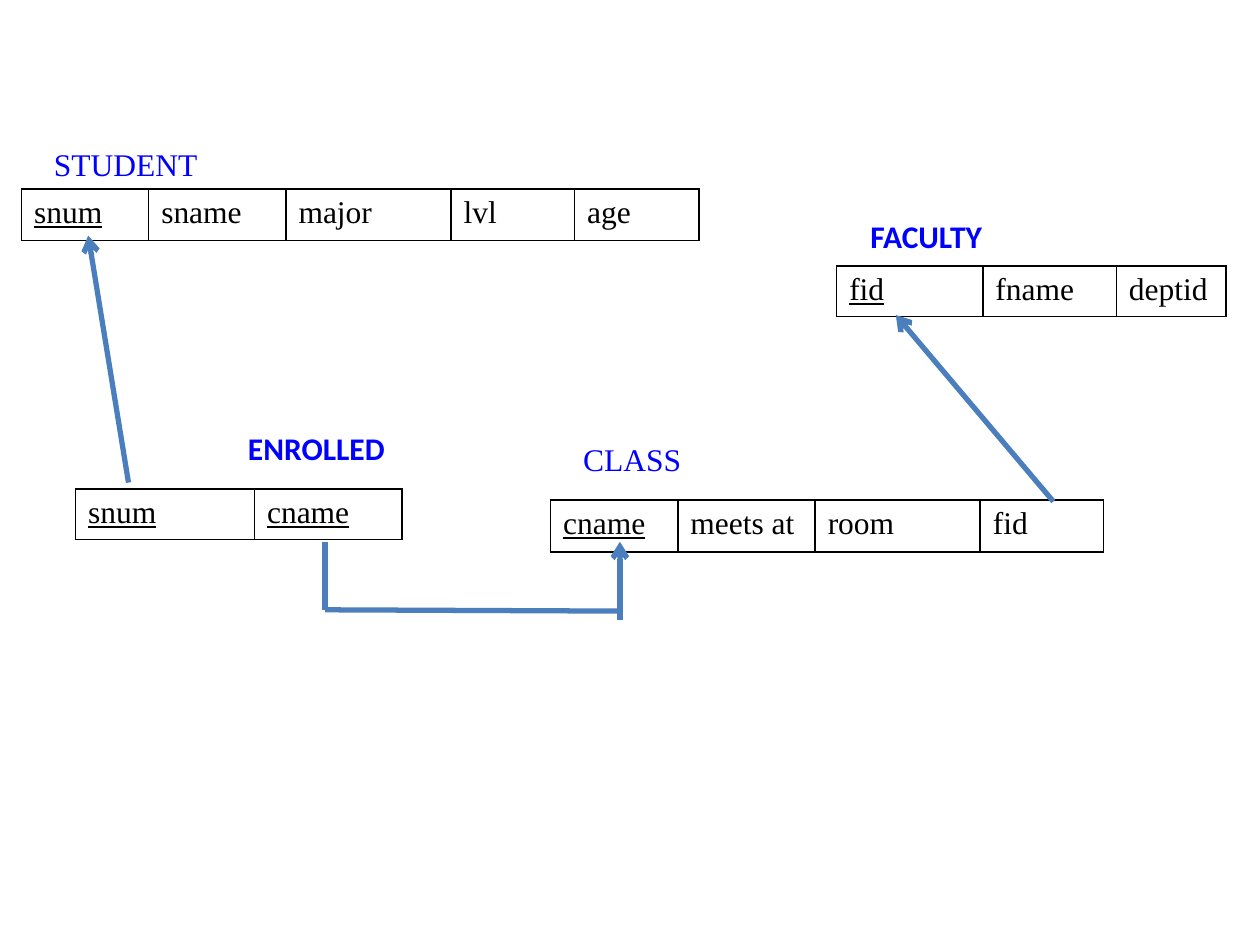
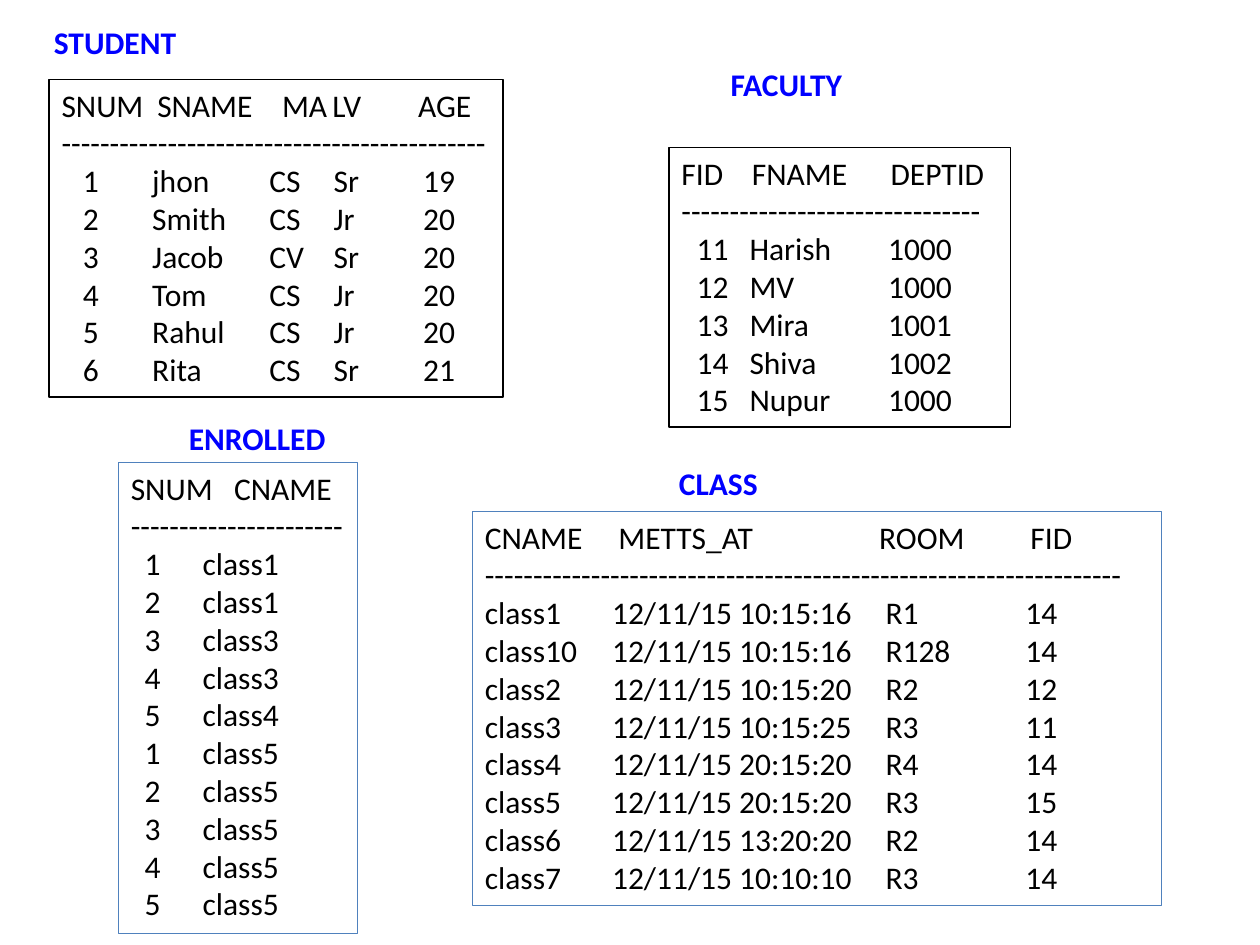
from pptx import Presentation
from pptx.dml.color import RGBColor
from pptx.enum.shapes import MSO_CONNECTOR, MSO_SHAPE
from pptx.enum.text import MSO_ANCHOR, PP_ALIGN
from pptx.oxml.ns import qn
from pptx.util import Inches, Pt
from lxml.etree import SubElement

THEME = {
    "black": "000000", "label": "0000FF", "arrow": "4B7EBC", "frame": "4F81BD",
    "sans": "Calibri", "serif": "Times New Roman", "size": 18,
    "rule": 1, "thin": 0.75, "thick": 3,
}
COLS, ROWS = 1000, 750

SCHEMA = [
    {"name": "STUDENT", "label": (33, 110, 135), "font": "serif", "at": (17, 150), "row": 41,
     "fields": [("snum", 101), ("sname", 109), ("major", 131), ("lvl", 98), ("age", 99)],
     "keys": ["snum"]},
    {"name": "FACULTY", "label": (681, 167, 110), "font": "sans", "at": (664, 211), "row": 38,
     "fields": [("fid", 116), ("fname", 106), ("deptid", 87)], "keys": ["fid"]},
    {"name": "ENROLLED", "label": (187, 336, 130), "font": "sans", "at": (60, 388), "row": 38,
     "fields": [("snum", 142), ("cname", 117)], "keys": ["snum", "cname"]},
    {"name": "CLASS", "label": (453, 344, 99), "font": "serif", "at": (437, 397), "row": 41,
     "fields": [("cname", 101), ("meets at", 109), ("room", 131), ("fid", 98)],
     "keys": ["cname"]},
]
REFERENCES = [
    [(102, 383), (70, 187)],
    [(836, 398), (711, 250)],
    [(258, 430), (258, 484)],
    [(258, 484), (492, 485)],
    [(492, 492), (492, 430)],
]
HEADLESS = (2, 3)

LISTINGS = [
    {"name": "STUDENT", "label": (33, 13, 118), "box": (39, 63, 360, 252),
     "line": ("black", "rule"), "dashes": 44,
     "head": ["SNUM", "SNAME", "MA", "LV", "AGE"], "head_tabs": [76, 175, 215, 283],
     "tabs": [17, 72, 165, 216, 287],
     "rows": ["1 jhon CS Sr 19", "2 Smith CS Jr 20", "3 Jacob CV Sr 20",
              "4 Tom CS Jr 20", "5 Rahul CS Jr 20", "6 Rita CS Sr 21"]},
    {"name": "FACULTY", "label": (570, 47, 110), "box": (531, 117, 271, 222),
     "line": ("black", "rule"), "dashes": 31,
     "head": ["FID", "FNAME", "DEPTID"], "head_tabs": [56, 166],
     "tabs": [12, 54, 164],
     "rows": ["11 Harish 1000", "12 MV 1000", "13 Mira 1001", "14 Shiva 1002",
              "15 Nupur 1000"]},
    {"name": "ENROLLED", "label": (140, 328, 130), "box": (94, 367, 190, 374),
     "line": ("frame", "thin"), "dashes": 22,
     "head": ["SNUM", "CNAME"], "head_tabs": [82], "tabs": [11, 57],
     "rows": ["1 class1", "2 class1", "3 class3", "4 class3", "5 class4",
              "1 class5", "2 class5", "3 class5", "4 class5", "5 class5"]},
    {"name": "CLASS", "label": (529, 363, 83), "box": (375, 406, 547, 313),
     "line": ("frame", "thin"), "dashes": 66,
     "head": ["CNAME", "METTS_AT", "ROOM", "FID"], "head_tabs": [106, 313, 433],
     "tabs": [0, 101, 318, 429],
     "rows": ["class1 12/11/15_10:15:16 R1 14", "class10 12/11/15_10:15:16 R128 14",
              "class2 12/11/15_10:15:20 R2 12", "class3 12/11/15_10:15:25 R3 11",
              "class4 12/11/15_20:15:20 R4 14", "class5 12/11/15_20:15:20 R3 15",
              "class6 12/11/15_13:20:20 R2 14", "class7 12/11/15_10:10:10 R3 14"]},
]

prs = Presentation()
prs.slide_width, prs.slide_height = Inches(10), Inches(7.5)


def gx(cols):
    return round(prs.slide_width * cols / COLS)


def gy(rows):
    return round(prs.slide_height * rows / ROWS)


def color(key):
    return RGBColor.from_string(THEME[key])


def add_run(p, text, font="sans", ink="black", **extra):
    r = p.add_run()
    r.text = text
    fmt = {"name": THEME[font], "size": Pt(THEME["size"]), **extra}
    for key, value in fmt.items():
        setattr(r.font, key, value)
    r.font.color.rgb = color(ink)


def add_label(s, text, at, font="sans"):
    x, y, w = at
    tf = s.shapes.add_textbox(gx(x), gy(y), gx(w), gy(40)).text_frame
    tf.word_wrap = False
    add_run(tf.paragraphs[0], text, font, "label", bold=font == "sans")


def add_borders(cell):
    pr = cell._tc.get_or_add_tcPr()
    for i, side in enumerate(("lnL", "lnR", "lnT", "lnB")):
        ln = pr.makeelement(qn("a:" + side), {"w": str(Pt(THEME["rule"]))})
        fill = SubElement(ln, qn("a:solidFill"))
        SubElement(fill, qn("a:srgbClr"), val=THEME["black"])
        pr.insert(i, ln)


def add_relation(s, rel):
    (x, y), fields = rel["at"], rel["fields"]
    total = sum(w for _, w in fields)
    tbl = s.shapes.add_table(1, len(fields), gx(x), gy(y), gx(total), gy(rel["row"])).table
    tbl.first_row = tbl.horz_banding = False
    for i, (name, w) in enumerate(fields):
        tbl.columns[i].width = gx(w)
        cell = tbl.cell(0, i)
        cell.fill.background()
        add_borders(cell)
        add_run(cell.text_frame.paragraphs[0], name, "serif", underline=name in rel["keys"])


def add_reference(s, start, end, arrow):
    (x1, y1), (x2, y2) = start, end
    c = s.shapes.add_connector(MSO_CONNECTOR.STRAIGHT, gx(x1), gy(y1), gx(x2), gy(y2))
    c.line.color.rgb = color("arrow")
    c.line.width = Pt(THEME["thick"])
    if arrow:
        SubElement(c.line._get_or_add_ln(), qn("a:tailEnd"), type="arrow")
    SubElement(c._element.spPr, qn("a:effectLst"))


def add_line(p, text, tabs):
    p.alignment = PP_ALIGN.LEFT
    if tabs:
        lst = SubElement(p._p.get_or_add_pPr(), qn("a:tabLst"))
        for t in tabs:
            SubElement(lst, qn("a:tab"), pos=str(gx(t)), algn="l")
    add_run(p, text)


def add_listing(s, rel):
    x, y, w, h = rel["box"]
    sp = s.shapes.add_shape(MSO_SHAPE.RECTANGLE, gx(x), gy(y), gx(w), gy(h))
    sp.shadow.inherit = False
    sp.fill.background()
    ink, weight = rel["line"]
    sp.line.color.rgb = color(ink)
    sp.line.width = Pt(THEME[weight])
    tf = sp.text_frame
    tf.word_wrap = True
    tf.vertical_anchor = MSO_ANCHOR.TOP
    tabs = [t for t in rel["tabs"] if t]
    lead = "\t" if rel["tabs"][0] else ""
    lines = [("\t".join(rel["head"]), rel["head_tabs"]), ("-" * rel["dashes"], [])]
    lines += [(lead + "\t".join(row.split()).replace("_", " "), tabs) for row in rel["rows"]]
    for i, (text, stops) in enumerate(lines):
        add_line(tf.add_paragraph() if i else tf.paragraphs[0], text, stops)


blank = prs.slide_layouts[6]
s = prs.slides.add_slide(blank)
for rel in SCHEMA:
    add_relation(s, rel)
    add_label(s, rel["name"], rel["label"], rel["font"])
for i, (start, end) in enumerate(REFERENCES):
    add_reference(s, start, end, i not in HEADLESS)

s = prs.slides.add_slide(blank)
for rel in LISTINGS:
    add_label(s, rel["name"], rel["label"])
    add_listing(s, rel)

prs.save("out.pptx")
